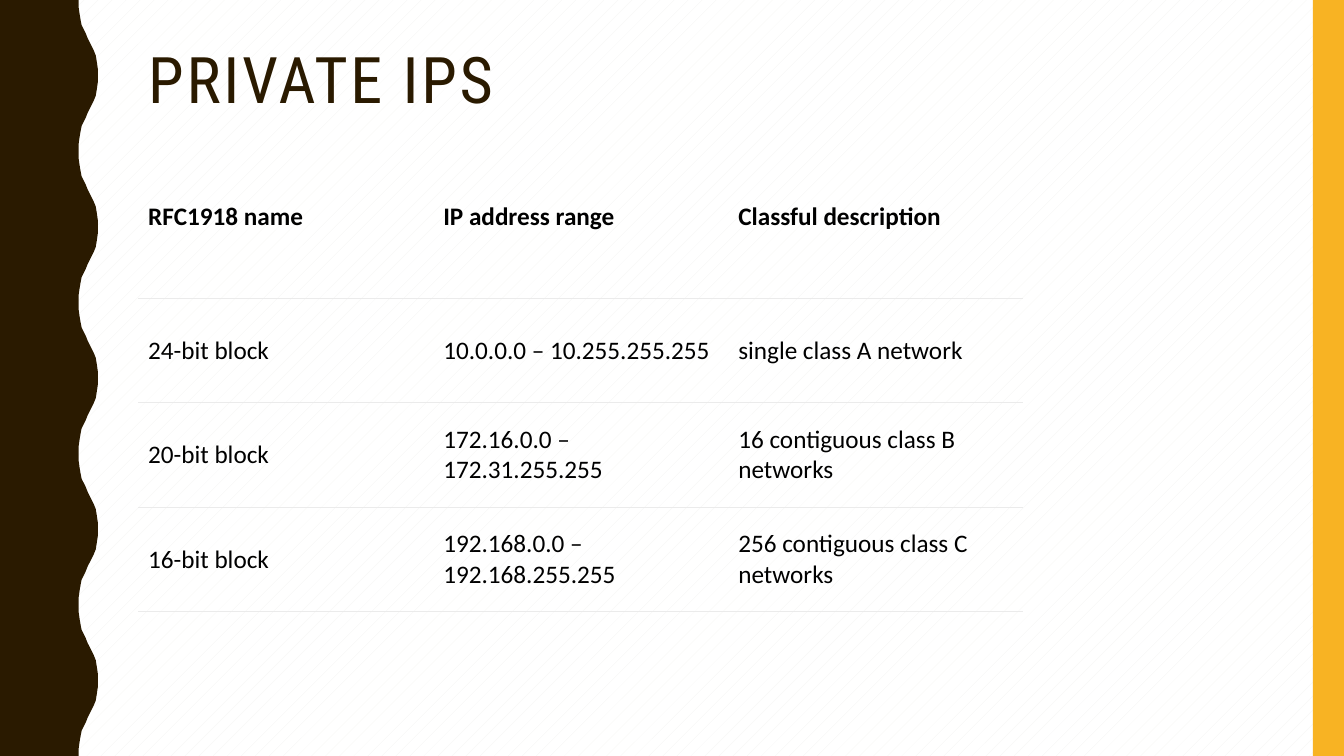
from lxml import etree
from pptx import Presentation
from pptx.dml.color import RGBColor
from pptx.enum.dml import MSO_PATTERN
from pptx.enum.shapes import MSO_SHAPE
from pptx.enum.text import MSO_ANCHOR, MSO_AUTO_SIZE, PP_ALIGN
from pptx.oxml.ns import qn
from pptx.util import Inches, Pt

DOTS = MSO_PATTERN.PERCENT_5
RECTANGLE = MSO_SHAPE.RECTANGLE
TOP, MIDDLE = MSO_ANCHOR.TOP, MSO_ANCHOR.MIDDLE
NO_AUTOFIT = MSO_AUTO_SIZE.NONE
LEFT = PP_ALIGN.LEFT
TITLE_ONLY = 5

WAVE_PERIOD = 1.5
WAVE_COUNT = 5
WAVE_RISE = [
    (0.78, 0), (0.78, 0.07), (0.79, 0.14), (0.8, 0.2), (0.81, 0.25),
    (0.83, 0.29), (0.85, 0.33), (0.87, 0.38), (0.89, 0.42), (0.91, 0.46),
    (0.93, 0.5), (0.95, 0.55), (0.96, 0.61), (0.97, 0.68),
]
ADDRESS_ROWS = [
    ["RFC1918 name", "IP address range", "Classful description"],
    ["24-bit block", "10.0.0.0 – 10.255.255.255", "single class A network"],
    ["20-bit block", "172.16.0.0 – 172.31.255.255", "16 contiguous class B networks"],
    ["16-bit block", "192.168.0.0 – 192.168.255.255", "256 contiguous class C networks"],
]


def color(value):
    return RGBColor.from_string(value)


class SlideBuilder:
    brown, amber, black, rule = "2A1A00", "F8B323", "000000", "EBEBEB"
    title_font, body_font = "Roboto Condensed", "Calibri"

    def __init__(self, deck):
        self.slide = deck.slides.add_slide(deck.slide_layouts[TITLE_ONLY])

    def background(self, dots, base):
        fill = self.slide.background.fill
        fill.patterned()
        fill.pattern = DOTS
        fill.fore_color.rgb = color(dots)
        fill.back_color.rgb = color(base)

    def paint(self, shape, value):
        shape.shadow.inherit = False
        shape.fill.solid()
        shape.fill.fore_color.rgb = color(value)
        shape.line.fill.background()

    def wavy_band(self):
        crest = [(0.97, WAVE_PERIOD / 2)]
        fall = [(x, WAVE_PERIOD - y) for x, y in reversed(WAVE_RISE)]
        edge = [(Inches(x), Inches(y + wave * WAVE_PERIOD))
                for wave in range(WAVE_COUNT)
                for x, y in WAVE_RISE + crest + fall]
        outline = self.slide.shapes.build_freeform(0, 0, scale=1.0)
        outline.add_line_segments(edge + [(0, Inches(7.5))], close=True)
        self.paint(outline.convert_to_shape(), self.brown)

    def bar(self, left, top, width, height):
        shape = self.slide.shapes.add_shape(
            RECTANGLE, Inches(left), Inches(top), Inches(width), Inches(height))
        self.paint(shape, self.amber)

    def style(self, para, font_name, size, value, bold=False):
        para.alignment = LEFT
        for span in para.runs:
            span.font.name = font_name
            span.font.size = Pt(size)
            span.font.bold = bold
            span.font.color.rgb = color(value)

    def title(self, text, left, top, width, height):
        box = self.slide.shapes.title
        box.left, box.top = Inches(left), Inches(top)
        box.width, box.height = Inches(width), Inches(height)
        frame = box.text_frame
        frame.text = text
        frame.word_wrap = True
        frame.auto_size = NO_AUTOFIT
        frame.vertical_anchor = MIDDLE
        para = frame.paragraphs[0]
        para.line_spacing = 0.9
        self.style(para, self.title_font, 45.9, self.brown)
        para.runs[0].font._element.set("spc", "200")

    def borders(self, cell, ruled):
        properties = cell._tc.get_or_add_tcPr()
        for side in ("lnL", "lnR", "lnT", "lnB"):
            line = etree.SubElement(properties, qn("a:" + side), w=str(Pt(0.75)))
            if side in ruled:
                fill = etree.SubElement(line, qn("a:solidFill"))
                etree.SubElement(fill, qn("a:srgbClr"), val=self.rule)
            else:
                etree.SubElement(line, qn("a:noFill"))

    def table(self, rows, left, top, width, height):
        table = self.slide.shapes.add_table(
            len(rows), len(rows[0]), Inches(left), Inches(top),
            Inches(width), Inches(height)).table
        table.first_row = table.horz_banding = False
        for row_index, row in enumerate(rows):
            header = row_index == 0
            for column_index, text in enumerate(row):
                cell = table.cell(row_index, column_index)
                cell.text = text
                cell.vertical_anchor = TOP if header else MIDDLE
                cell.margin_left = cell.margin_right = Inches(0.1)
                cell.margin_top = cell.margin_bottom = Inches(0.08)
                self.borders(cell, ["lnB"] if header else ["lnT", "lnB"])
                cell.fill.background()
                self.style(cell.text_frame.paragraphs[0], self.body_font, 18,
                           self.black, bold=header)


def main():
    deck = Presentation()
    deck.slide_width, deck.slide_height = Inches(13.33), Inches(7.5)
    page = SlideBuilder(deck)
    page.background("F3F3F2", "FFFFFF")
    page.wavy_band()
    page.bar(13.02, 0, 0.31, 7.5)
    page.title("PRIVATE IPS", 1.37, 0.42, 11.13, 0.81)
    page.table(ADDRESS_ROWS, 1.37, 1.92, 8.78, 4.15)
    deck.save("out.pptx")


if __name__ == "__main__":
    main()
